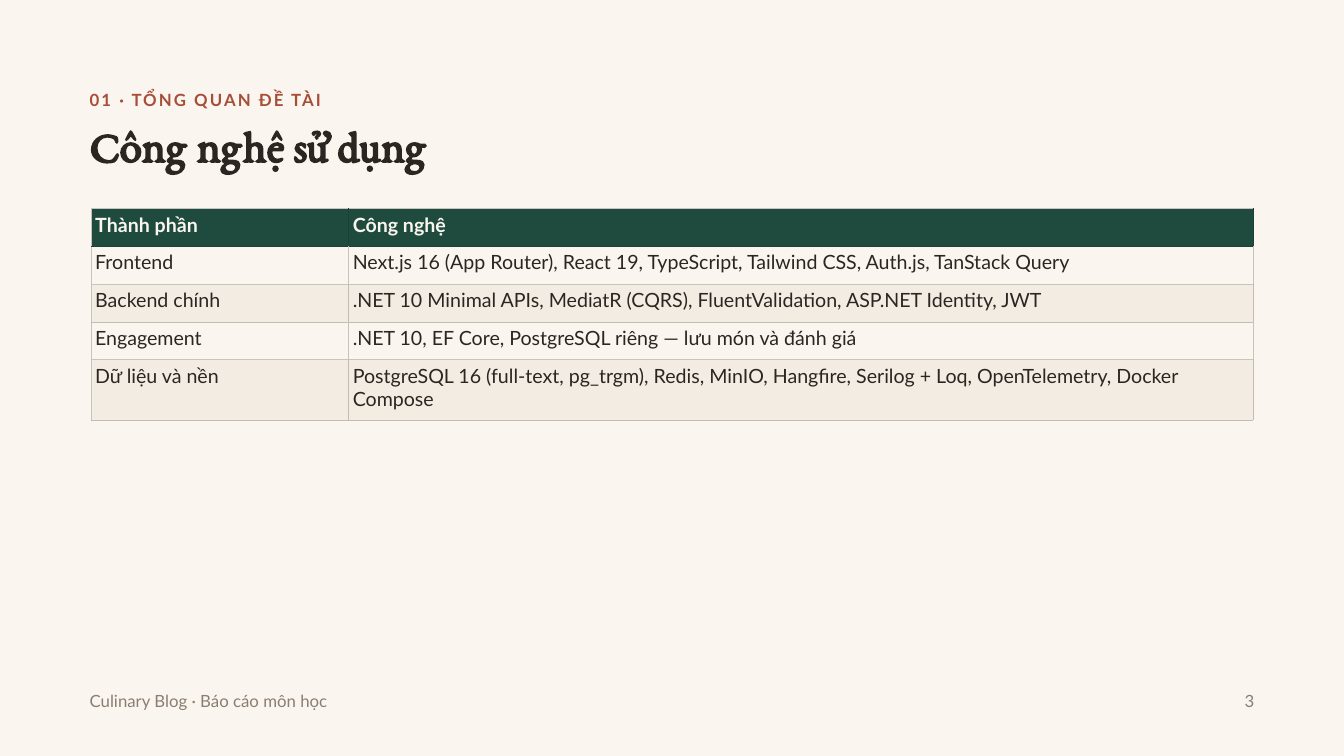
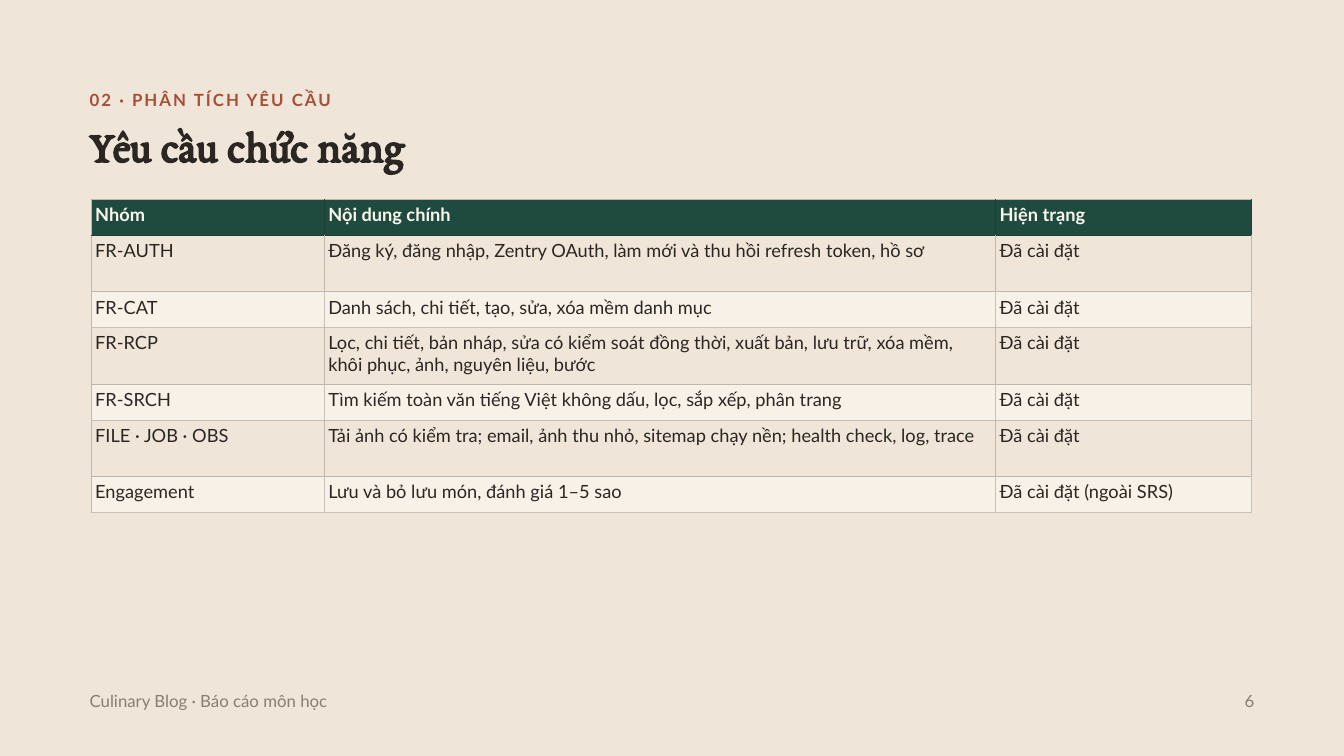
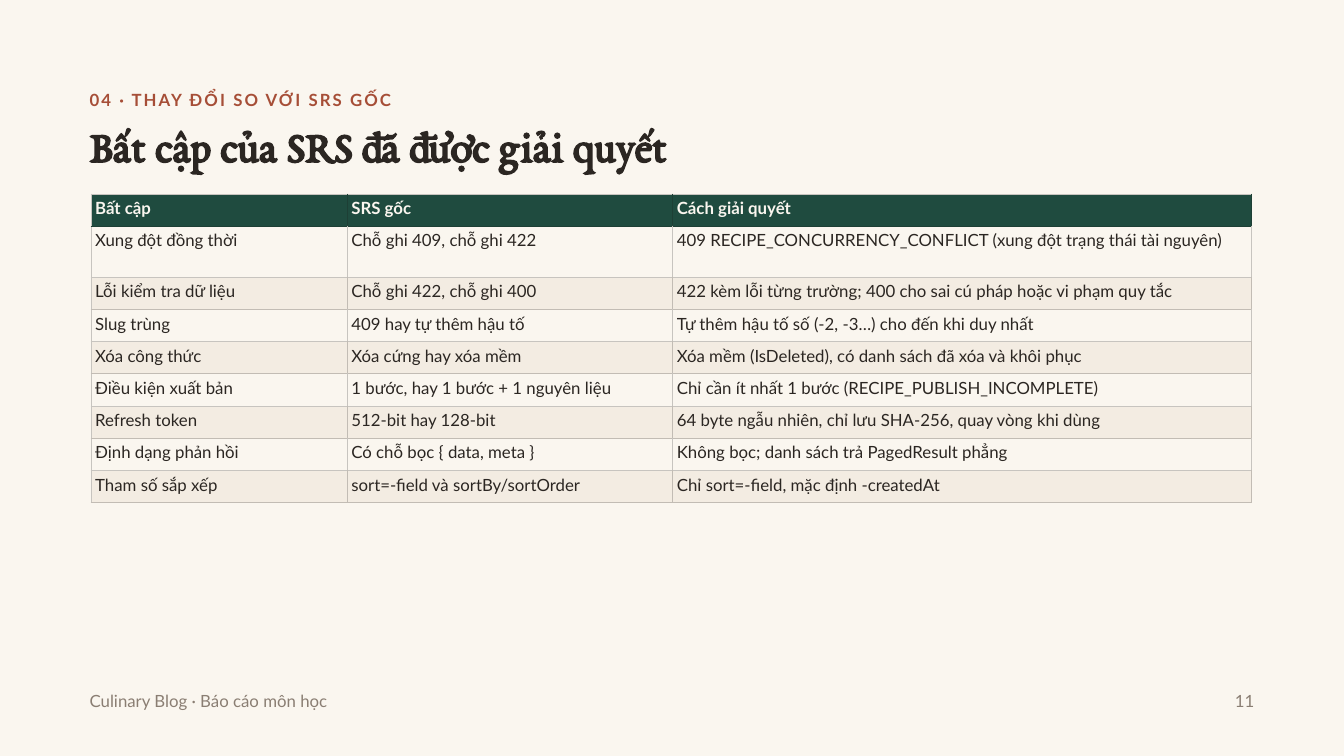
"""Builds three table slides of the Culinary Blog course report."""
from pptx import Presentation
from pptx.dml.color import RGBColor
from pptx.enum.text import MSO_ANCHOR, MSO_AUTO_SIZE, PP_ALIGN
from pptx.oxml import parse_xml
from pptx.oxml.ns import nsdecls
from pptx.util import Emu, Pt

PX = 9525
SERIF, SANS = "EB Garamond", "Lato"
CREAM = RGBColor(0xFA, 0xF6, 0xEF)
SAND = RGBColor(0xEF, 0xE5, 0xD8)
INK = RGBColor(0x2B, 0x26, 0x22)
RUST = RGBColor(0xA6, 0x4E, 0x37)
MUTED = RGBColor(0x8A, 0x7E, 0x73)
GREEN = RGBColor(0x1F, 0x4B, 0x3F)
GREEN_LINE = RGBColor(0x1D, 0x3F, 0x35)

THEMES = {
    "cream": {"bg": CREAM, "line": RGBColor(0xC7, 0xC4, 0xBF),
              "band": RGBColor(0xF3, 0xEC, 0xE2), "band_line": RGBColor(0xC2, 0xBC, 0xB4)},
    "sand": {"bg": SAND, "line": RGBColor(0xBF, 0xB7, 0xAD),
             "band": RGBColor(0xF7, 0xF1, 0xE8), "band_line": RGBColor(0xC5, 0xC0, 0xB9)},
}
LEFT, TABLE_LEFT, RIGHT = 128, 130, 1792
PAGE_WIDTH = 48
FOOTER = "Culinary Blog · Báo cáo môn học"

SLIDES = [
    {"theme": "cream", "page": "3",
     "kicker": "01 · TỔNG QUAN ĐỀ TÀI", "title": "Công nghệ sử dụng",
     "top": 298, "size": 21, "inset": 6, "cols": [368, 1292],
     "row": 54, "tall": 86, "tall_rows": [4],
     "rows": [
         ("Thành phần", "Công nghệ"),
         ("Frontend", "Next.js 16 (App Router), React 19, TypeScript, Tailwind CSS, Auth.js, TanStack Query"),
         ("Backend chính", ".NET 10 Minimal APIs, MediatR (CQRS), FluentValidation, ASP.NET Identity, JWT"),
         ("Engagement", ".NET 10, EF Core, PostgreSQL riêng — lưu món và đánh giá"),
         ("Dữ liệu và nền", "PostgreSQL 16 (full-text, pg_trgm), Redis, MinIO, Hangfire, Serilog + Loq, "
                            "OpenTelemetry, Docker Compose"),
     ]},
    {"theme": "sand", "page": "6",
     "kicker": "02 · PHÂN TÍCH YÊU CẦU", "title": "Yêu cầu chức năng",
     "top": 285, "size": 19.5, "inset": 6, "cols": [333, 959, 366],
     "row": 51, "tall": 81, "tall_rows": [1, 3, 5],
     "rows": [
         ("Nhóm", "Nội dung chính", "Hiện trạng"),
         ("FR-AUTH", "Đăng ký, đăng nhập, Zentry OAuth, làm mới và thu hồi refresh token, hồ sơ", "Đã cài đặt"),
         ("FR-CAT", "Danh sách, chi tiết, tạo, sửa, xóa mềm danh mục", "Đã cài đặt"),
         ("FR-RCP", "Lọc, chi tiết, bản nháp, sửa có kiểm soát đồng thời, xuất bản, lưu trữ, xóa mềm, "
                    "khôi phục, ảnh, nguyên liệu, bước", "Đã cài đặt"),
         ("FR-SRCH", "Tìm kiếm toàn văn tiếng Việt không dấu, lọc, sắp xếp, phân trang", "Đã cài đặt"),
         ("FILE · JOB · OBS", "Tải ảnh có kiểm tra; email, ảnh thu nhỏ, sitemap chạy nền; "
                              "health check, log, trace", "Đã cài đặt"),
         ("Engagement", "Lưu và bỏ lưu món, đánh giá 1–5 sao", "Đã cài đặt (ngoài SRS)"),
     ]},
    {"theme": "cream", "page": "11",
     "kicker": "04 · THAY ĐỔI SO VỚI SRS GỐC", "title": "Bất cập của SRS đã được giải quyết",
     "top": 277, "size": 18, "inset": 6, "cols": [366, 465, 827],
     "row": 46, "tall": 73, "tall_rows": [1],
     "rows": [
         ("Bất cập", "SRS gốc", "Cách giải quyết"),
         ("Xung đột đồng thời", "Chỗ ghi 409, chỗ ghi 422",
          "409 RECIPE_CONCURRENCY_CONFLICT (xung đột trạng thái tài nguyên)"),
         ("Lỗi kiểm tra dữ liệu", "Chỗ ghi 422, chỗ ghi 400",
          "422 kèm lỗi từng trường; 400 cho sai cú pháp hoặc vi phạm quy tắc"),
         ("Slug trùng", "409 hay tự thêm hậu tố", "Tự thêm hậu tố số (-2, -3…) cho đến khi duy nhất"),
         ("Xóa công thức", "Xóa cứng hay xóa mềm", "Xóa mềm (IsDeleted), có danh sách đã xóa và khôi phục"),
         ("Điều kiện xuất bản", "1 bước, hay 1 bước + 1 nguyên liệu",
          "Chỉ cần ít nhất 1 bước (RECIPE_PUBLISH_INCOMPLETE)"),
         ("Refresh token", "512-bit hay 128-bit", "64 byte ngẫu nhiên, chỉ lưu SHA-256, quay vòng khi dùng"),
         ("Định dạng phản hồi", "Có chỗ bọc { data, meta }", "Không bọc; danh sách trả PagedResult phẳng"),
         ("Tham số sắp xếp", "sort=-field và sortBy/sortOrder", "Chỉ sort=-field, mặc định -createdAt"),
     ]},
]


def px(n):
    return Emu(n * PX)


def write(tf, text, size, color, font=SANS, bold=False, leading=1.2, align=PP_ALIGN.LEFT):
    p = tf.paragraphs[0]
    p.alignment = align
    p.line_spacing = Pt(size * leading)
    r = p.add_run()
    r.text = text
    r.font.name, r.font.size, r.font.bold = font, Pt(size), bold
    r.font.color.rgb = color
    return r


def place(sp, left, top, width, height):
    sp.left, sp.top, sp.width, sp.height = (px(n) for n in (left, top, width, height))
    tf = sp.text_frame
    tf.margin_left = tf.margin_top = tf.margin_right = tf.margin_bottom = 0
    tf.word_wrap = True
    tf.vertical_anchor = MSO_ANCHOR.TOP
    tf.auto_size = MSO_AUTO_SIZE.SHAPE_TO_FIT_TEXT
    return tf


def add_text(s, box, *args, **style):
    return write(place(s.shapes.add_textbox(0, 0, 0, 0), *box), *args, **style)


def set_borders(cell, **sides):
    tcPr = cell._tc.get_or_add_tcPr()
    for side, color in sides.items():
        tcPr.append(parse_xml(
            f'<a:ln{side} {nsdecls("a")} w="12700"><a:solidFill>'
            f'<a:srgbClr val="{color}"/></a:solidFill></a:ln{side}>'))


def add_grid(s, d, theme):
    heights = [d["tall"] if i in d["tall_rows"] else d["row"] for i in range(len(d["rows"]))]
    table = s.shapes.add_table(len(heights), len(d["cols"]), px(TABLE_LEFT), px(d["top"]),
                               px(sum(d["cols"])), px(sum(heights))).table
    table.first_row = table.horz_banding = False
    for column, width in zip(table.columns, d["cols"]):
        column.width = px(width)
    above = theme["line"]
    for i, texts in enumerate(d["rows"]):
        table.rows[i].height = px(heights[i])
        if i == 0:
            fill, line, color = GREEN, GREEN_LINE, CREAM
        elif i % 2:
            fill, line, color = theme["bg"], theme["line"], INK
        else:
            fill, line, color = theme["band"], theme["band_line"], INK
        for j, text in enumerate(texts):
            cell = table.cell(i, j)
            cell.margin_left = cell.margin_right = px(d["inset"])
            cell.margin_top = cell.margin_bottom = px(d["inset"])
            set_borders(cell, L=line if j else theme["line"], R=line, T=above, B=line)
            cell.fill.solid()
            cell.fill.fore_color.rgb = fill
            write(cell.text_frame, text, d["size"], color, bold=i == 0)
        above = line


def build_slide(prs, d):
    theme = THEMES[d["theme"]]
    s = prs.slides.add_slide(prs.slide_layouts[5])
    s.background.fill.solid()
    s.background.fill.fore_color.rgb = theme["bg"]
    title = place(s.shapes.title, LEFT, 174, 1714, 69)
    write(title, d["title"], 48, INK, font=SERIF, bold=True, leading=1.1)
    kicker = add_text(s, (LEFT, 128, 1714, 33), d["kicker"], 18, RUST, bold=True)
    kicker._r.get_or_add_rPr().set("spc", "220")
    add_grid(s, d, theme)
    add_text(s, (LEFT, 987, 453, 33), FOOTER, 18, MUTED)
    add_text(s, (RIGHT - PAGE_WIDTH, 987, PAGE_WIDTH, 33), d["page"], 18, MUTED,
             align=PP_ALIGN.RIGHT)


def main():
    prs = Presentation()
    prs.slide_width, prs.slide_height = px(1920), px(1080)
    for d in SLIDES:
        build_slide(prs, d)
    prs.save("out.pptx")


if __name__ == "__main__":
    main()
